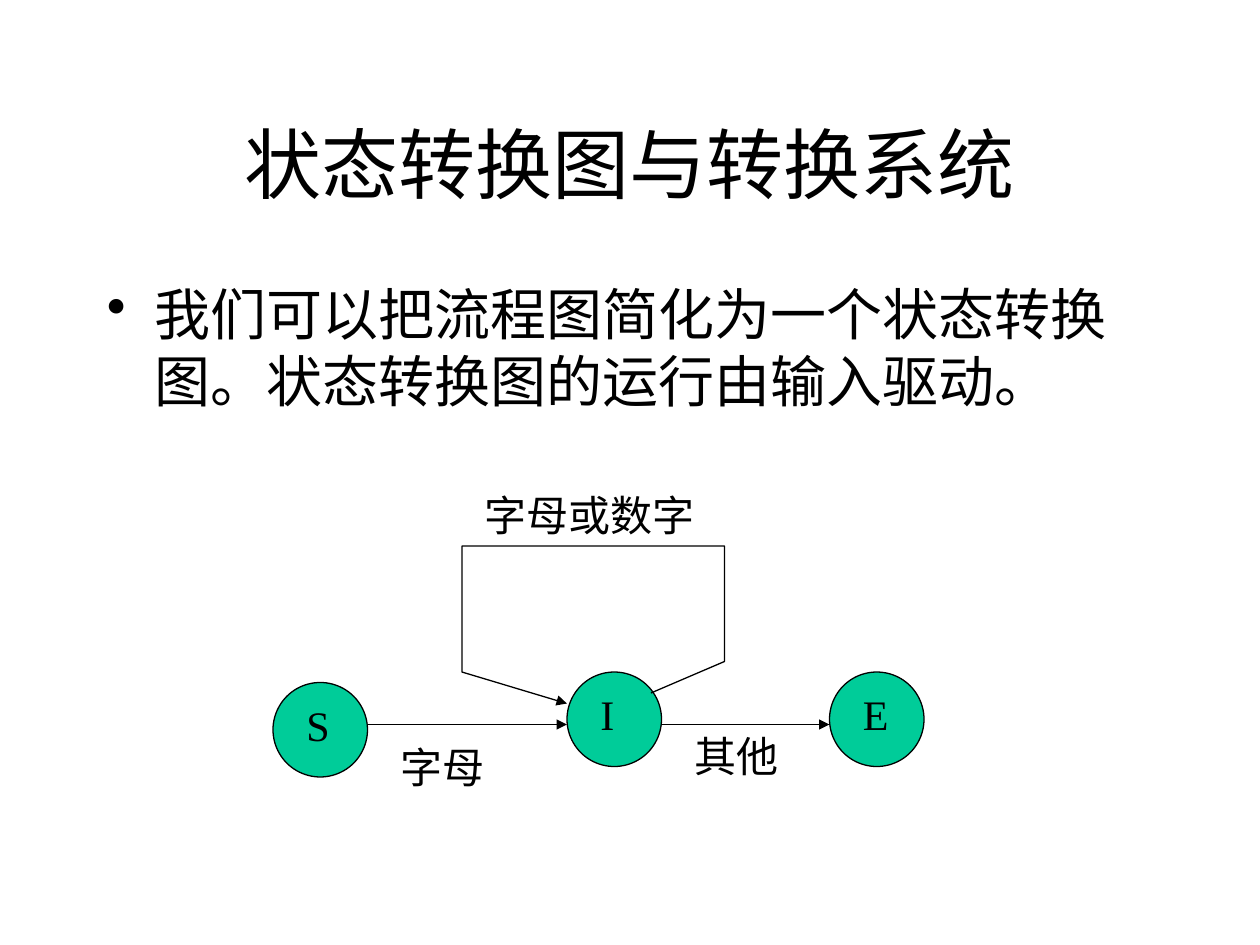
import dataclasses
import typing

import lxml.etree
import pptx
import pptx.dml.color
import pptx.enum.shapes
import pptx.enum.text
import pptx.oxml.ns
import pptx.util

Pt = pptx.util.Pt
qn = pptx.oxml.ns.qn
Align = pptx.enum.text.PP_ALIGN
Anchor = pptx.enum.text.MSO_ANCHOR

HUES = {"ink": "000000", "node": "00CC99"}
FONT = "Times New Roman"
SIDE = 54
FLOW = 414


@dataclasses.dataclass
class Node:
    name: str
    x: float
    y: float


@dataclasses.dataclass
class Label:
    text: str
    x: float
    y: float
    w: float
    h: float = 36
    size: float = 24
    form: dict = dataclasses.field(default_factory=dict)
    anchor: typing.Any = Anchor.TOP


def hue(key: str) -> pptx.dml.color.RGBColor:
    return pptx.dml.color.RGBColor.from_string(HUES[key])


def apply(item: typing.Any, form: dict) -> None:
    for key, value in form.items():
        setattr(item, key, value)


def write(slide: typing.Any, label: Label) -> typing.Any:
    box = slide.shapes.add_textbox(Pt(label.x), Pt(label.y), Pt(label.w), Pt(label.h))
    apply(box.text_frame, {"word_wrap": True, "vertical_anchor": label.anchor})
    para = box.text_frame.paragraphs[0]
    apply(para, label.form)
    run = para.add_run()
    run.text = label.text
    apply(run.font, {"name": FONT, "size": Pt(label.size)})
    run.font.color.rgb = hue("ink")
    return para


def bullet(para: typing.Any) -> None:
    props = para._p.get_or_add_pPr()
    apply_ind = {"marL": Pt(27), "indent": Pt(-27)}
    for key, value in apply_ind.items():
        props.set(key, str(int(value)))
    lxml.etree.SubElement(props, qn("a:buChar")).set("char", "•")


def ink(shape: typing.Any, arrow: bool = False) -> None:
    shape.line.color.rgb = hue("ink")
    shape.line.width = Pt(0.75)
    props = shape._element.spPr
    if arrow:
        tail = lxml.etree.SubElement(props.find(qn("a:ln")), qn("a:tailEnd"))
        tail.set("type", "triangle")
    if props.find(qn("a:effectLst")) is None:
        lxml.etree.SubElement(props, qn("a:effectLst"))


def state(slide: typing.Any, node: Node) -> None:
    kind = pptx.enum.shapes.MSO_SHAPE.OVAL
    disc = slide.shapes.add_shape(kind, Pt(node.x), Pt(node.y), Pt(SIDE), Pt(SIDE))
    disc.shadow.inherit = False
    disc.fill.solid()
    disc.fill.fore_color.rgb = hue("node")
    ink(disc)
    write(slide, Label(node.name, node.x + 12, node.y + 6, 36))


def link(slide: typing.Any, start: Node, end: Node) -> None:
    kind = pptx.enum.shapes.MSO_CONNECTOR.STRAIGHT
    line = slide.shapes.add_connector(kind, Pt(start.x + SIDE), Pt(FLOW), Pt(end.x), Pt(FLOW))
    ink(line, arrow=True)


def loop(slide: typing.Any, spots: list) -> None:
    first, *rest = [(Pt(x), Pt(y)) for x, y in spots]
    pen = slide.shapes.build_freeform(*first)
    pen.add_line_segments(rest, close=False)
    shape = pen.convert_to_shape()
    shape.shadow.inherit = False
    shape.fill.background()
    ink(shape, arrow=True)


NODES = [Node("S", 156, 390), Node("I", 324, 384), Node("E", 474, 384)]
LOOP = [(372, 396), (414, 378), (414, 312), (264, 312), (264, 384), (324, 402)]
TITLE = Label("状态转换图与转换系统", 54, 48, 612, 90, 44,
              {"alignment": Align.CENTER}, Anchor.MIDDLE)
BODY = Label("我们可以把流程图简化为一个状态转换图。状态转换图的运行由输入驱动。",
             54, 156, 612, 90, 32)
NOTES = [
    Label("字母", 222, 420, 66),
    Label("其他", 390, 414, 72),
    Label("字母或数字", 270, 276, 150),
]


def main() -> None:
    deck = pptx.Presentation()
    apply(deck, {"slide_width": Pt(720), "slide_height": Pt(540)})
    slide = deck.slides.add_slide(deck.slide_layouts[6])

    # Title and body
    write(slide, TITLE)
    bullet(write(slide, BODY))

    # States
    for node in NODES:
        state(slide, node)

    # Transitions
    for start, end in zip(NODES, NODES[1:]):
        link(slide, start, end)
    loop(slide, LOOP)

    # Transition inputs
    for label in NOTES:
        write(slide, label)

    deck.save("out.pptx")


if __name__ == "__main__":
    main()
